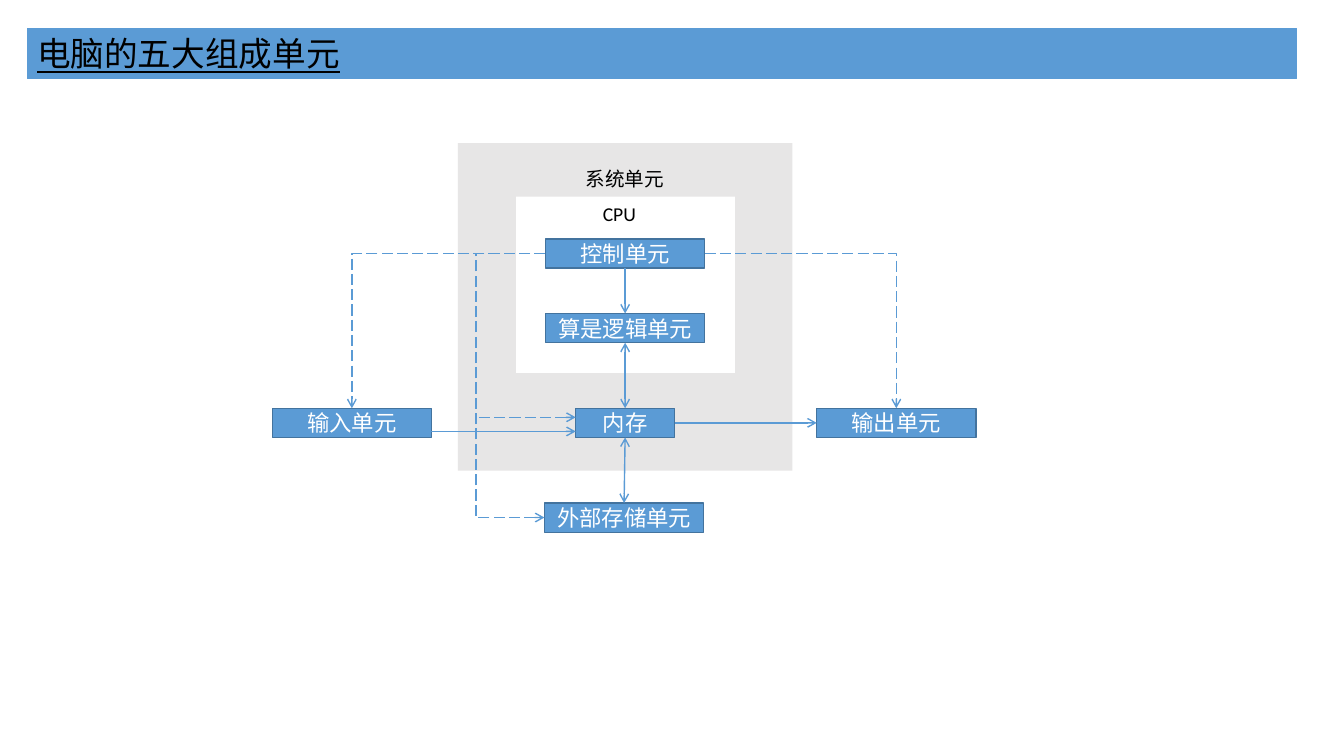
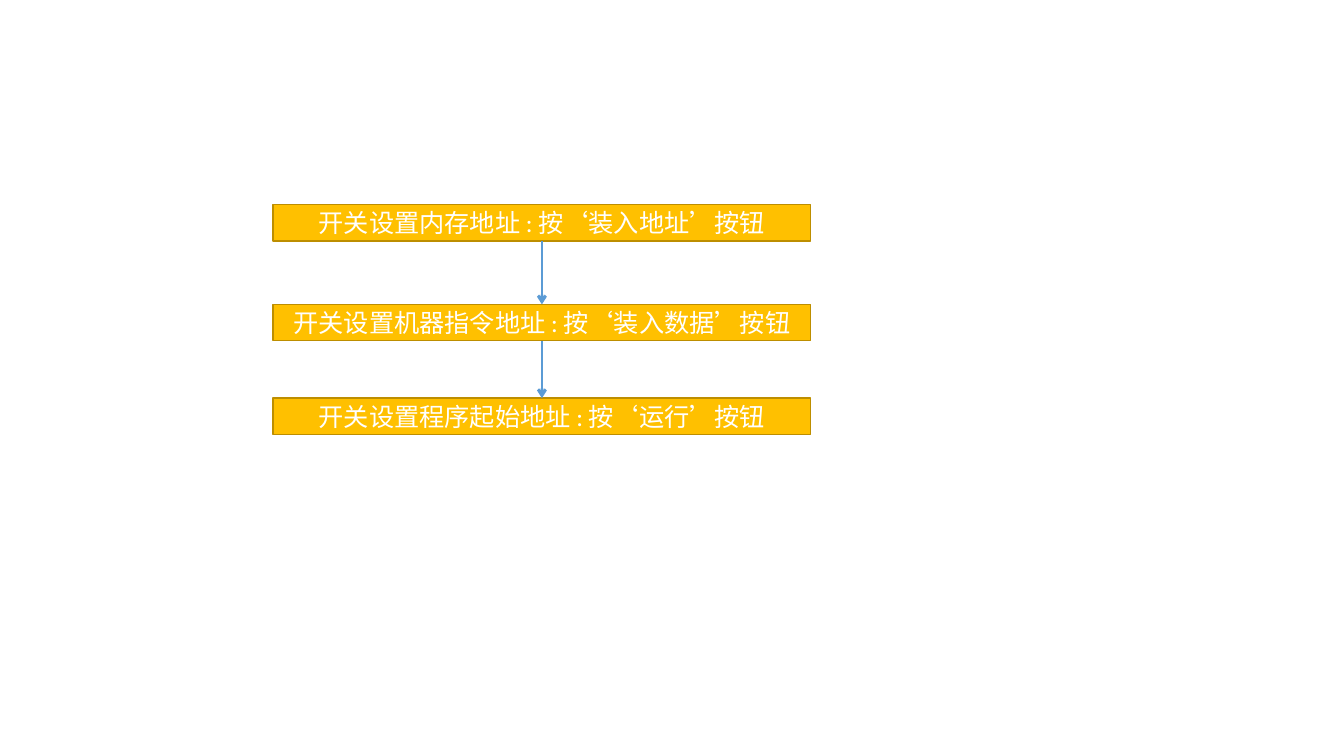
from lxml import etree
from pptx import Presentation
from pptx.dml.color import RGBColor
from pptx.enum.dml import MSO_LINE
from pptx.enum.lang import MSO_LANGUAGE_ID
from pptx.enum.shapes import MSO_CONNECTOR, MSO_SHAPE
from pptx.enum.text import MSO_ANCHOR, MSO_AUTO_SIZE, PP_ALIGN
from pptx.oxml.ns import qn
from pptx.util import Inches, Pt

RECT = MSO_SHAPE.RECTANGLE
STRAIGHT, ELBOW = MSO_CONNECTOR.STRAIGHT, MSO_CONNECTOR.ELBOW
DASH = MSO_LINE.LONG_DASH
LEFT, CENTER = PP_ALIGN.LEFT, PP_ALIGN.CENTER
TOP_ANCHOR, MIDDLE = MSO_ANCHOR.TOP, MSO_ANCHOR.MIDDLE
FIT = MSO_AUTO_SIZE.SHAPE_TO_FIT_TEXT
CHINESE = MSO_LANGUAGE_ID.SIMPLIFIED_CHINESE
TOP, WEST, BOTTOM, EAST = range(4)

FONT = "Calibri"
BLACK = RGBColor(0x00, 0x00, 0x00)
WHITE = RGBColor(0xFF, 0xFF, 0xFF)
GRAY = RGBColor(0xE7, 0xE6, 0xE6)
BLUE = RGBColor(0x5B, 0x9B, 0xD5)
NAVY = RGBColor(0x43, 0x73, 0x9E)
GOLD = RGBColor(0xFF, 0xC0, 0x00)
BROWN = RGBColor(0xBD, 0x8E, 0x00)

UNIT_W, UNIT_H = 1.58, 0.29
STEP_X, STEP_W, STEP_H = 2.71, 5.33, 0.36


def write(frame, text, size, color, align=LEFT, underline=None):
    para = frame.paragraphs[0]
    para.alignment = align
    run = para.add_run()
    run.text = text
    font = run.font
    font.name, font.size, font.underline = FONT, Pt(size), underline
    font.color.rgb = color
    font.language_id = CHINESE


def add_panel(slide, x, y, w, h, fill, edge=None, weight=1):
    panel = slide.shapes.add_shape(
        RECT, Inches(x), Inches(y), Inches(w), Inches(h))
    panel.shadow.inherit = False
    panel.fill.solid()
    panel.fill.fore_color.rgb = fill
    if edge is None:
        panel.line.fill.background()
    else:
        panel.line.color.rgb = edge
        panel.line.width = Pt(weight)
    return panel


def add_title(slide, text):
    band = add_panel(slide, 0.27, 0.28, 12.59, 0.5, BLUE, BLUE, 0.75)
    band.text_frame.vertical_anchor = TOP_ANCHOR
    band.text_frame.auto_size = FIT
    write(band.text_frame, text, 24, BLACK, underline=True)


def add_label(slide, text, x, y, w):
    label = slide.shapes.add_textbox(
        Inches(x), Inches(y), Inches(w), Inches(0.34))
    label.text_frame.word_wrap = False
    write(label.text_frame, text, 14, BLACK)


def add_box(slide, text, x, y, w, h, fill, edge, size):
    box = add_panel(slide, x, y, w, h, fill, edge)
    box.text_frame.vertical_anchor = MIDDLE
    write(box.text_frame, text, size, WHITE, CENTER)
    return box


def add_unit(slide, text, x, y, w=UNIT_W):
    return add_box(slide, text, x, y, w, UNIT_H, BLUE, NAVY, 16)


def add_step(slide, text, y):
    return add_box(slide, text, STEP_X, y, STEP_W, STEP_H, GOLD, BROWN, 18)


def add_link(slide, start, end, kind=STRAIGHT, dash=None, weight=1,
             tips=("tailEnd",)):
    """Each end is a (box, side) pair or an (x, y) point in inches."""
    ends = []
    for end_at in (start, end):
        free = isinstance(end_at[0], (int, float))
        ends += [Inches(v) for v in end_at] if free else [0, 0]
    link = slide.shapes.add_connector(kind, *ends)
    for end_at, join in ((start, link.begin_connect), (end, link.end_connect)):
        if not isinstance(end_at[0], (int, float)):
            join(*end_at)
    link.line.color.rgb = BLUE
    link.line.width = Pt(weight)
    if dash is not None:
        link.line.dash_style = dash
    props = link.element.spPr
    if kind == ELBOW:  # a single bend: across, then up or down
        props.find(qn("a:prstGeom")).set("prst", "bentConnector2")
    for tip in tips:
        etree.SubElement(props.find(qn("a:ln")), qn("a:" + tip), type="arrow")
    etree.SubElement(props, qn("a:effectLst"))


def build_units(slide):
    add_title(slide, "电脑的五大组成单元")

    # System and CPU areas
    add_panel(slide, 4.54, 1.42, 3.32, 3.25, GRAY)
    add_label(slide, "系统单元", 5.71, 1.61, 0.99)
    add_panel(slide, 5.12, 1.95, 2.17, 1.75, WHITE)
    add_label(slide, "CPU", 5.88, 1.95, 0.65)

    # Units
    control = add_unit(slide, "控制单元", 5.41, 2.37)
    logic = add_unit(slide, "算是逻辑单元", 5.41, 3.11)
    memory = add_unit(slide, "内存", 5.71, 4.05, 0.98)
    source = add_unit(slide, "输入单元", 2.7, 4.05)
    output = add_unit(slide, "输出单元", 8.1, 4.05)
    store = add_unit(slide, "外部存储单元", 5.4, 4.99)

    # Control signals
    add_link(slide, (control, EAST), (output, TOP), ELBOW, DASH)
    add_link(slide, (control, WEST), (source, TOP), ELBOW, DASH)
    add_link(slide, (store, WEST), (4.72, 2.51), ELBOW, DASH,
             tips=("headEnd",))
    add_link(slide, (4.75, 4.14), (5.71, 4.14), dash=DASH)

    # Data flow
    both = ("headEnd", "tailEnd")
    add_link(slide, (control, BOTTOM), (logic, TOP))
    add_link(slide, (logic, BOTTOM), (memory, TOP), tips=both)
    add_link(slide, (3.97, 4.28), (5.71, 4.28))
    add_link(slide, (memory, EAST), (output, WEST))
    add_link(slide, (memory, BOTTOM), (store, TOP), tips=both)


def build_steps(slide):
    steps = [add_step(slide, text, y) for text, y in (
        ("开关设置内存地址 : 按‘装入地址’按钮", 2.03),
        ("开关设置机器指令地址 : 按‘装入数据’按钮", 3.02),
        ("开关设置程序起始地址 : 按‘运行’按钮", 3.95),
    )]
    for upper, lower in zip(steps, steps[1:]):
        add_link(slide, (upper, BOTTOM), (lower, TOP), weight=2)


def main():
    deck = Presentation()
    deck.slide_width, deck.slide_height = Inches(13.33), Inches(7.5)
    blank = deck.slide_layouts[6]
    for build in (build_units, build_steps):
        build(deck.slides.add_slide(blank))
    deck.save("out.pptx")


if __name__ == "__main__":
    main()
